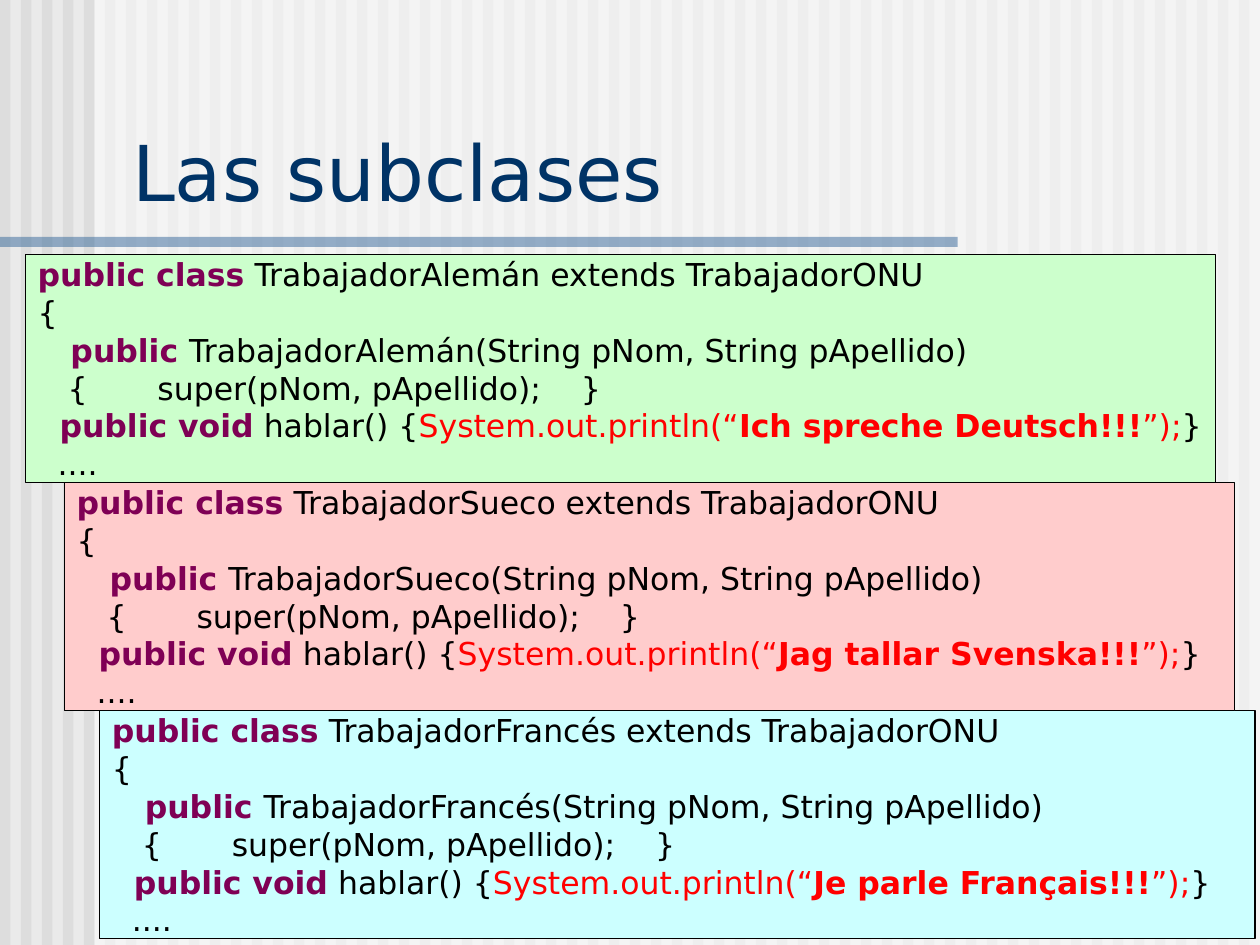
import pptx
import pptx.util
import pptx.dml.color
import pptx.enum.shapes
import pptx.enum.text
import pptx.oxml.ns
import lxml.etree

Inches = pptx.util.Inches
Pt = pptx.util.Pt

COLOURS = {
    "background": "EAEAEA",
    "stripe": "DDDDDD",
    "veil": "FFFFFF",
    "rule": "336699",
    "title": "003366",
    "keyword": "7F0055",
    "code": "000000",
    "output": "FF0000",
    "german": "CCFFCC",
    "swedish": "FFCCCC",
    "french": "CCFFFF",
}


class SlideBuilder:
    font_name = "DejaVu Sans"
    code_size = 18
    title_size = 44

    def __init__(self, page):
        self.page = page

    def colour(self, name):
        return pptx.dml.color.RGBColor.from_string(COLOURS[name])

    def apply(self, target, formats):
        for name, value in formats.items():
            setattr(target, name, value)

    def background(self, colour):
        fill = self.page.background.fill
        fill.solid()
        fill.fore_color.rgb = self.colour(colour)

    def rectangle(self, bounds, colour, opacity=100, border=None):
        box = self.page.shapes.add_shape(
            pptx.enum.shapes.MSO_SHAPE.RECTANGLE, *map(Inches, bounds)
        )
        box.shadow.inherit = False
        box.fill.solid()
        box.fill.fore_color.rgb = self.colour(colour)
        if opacity < 100:
            tag = pptx.oxml.ns.qn("a:srgbClr")
            for node in box.fill._xPr.iter(tag):
                alpha = lxml.etree.SubElement(node, pptx.oxml.ns.qn("a:alpha"))
                alpha.set("val", str(opacity * 1000))
        if border:
            box.line.color.rgb = self.colour(border)
            box.line.width = Pt(0.75)
        else:
            box.line.fill.background()
        return box

    def spans(self, para, pieces, size):
        para.alignment = pptx.enum.text.PP_ALIGN.LEFT
        for text, colour, bold in pieces:
            span = para.add_run()
            span.text = text
            self.apply(
                span.font,
                {"name": self.font_name, "size": Pt(size), "bold": bold},
            )
            span.font.color.rgb = self.colour(colour)

    def title(self, text, bounds):
        box = self.page.shapes.add_textbox(*map(Inches, bounds))
        frame = box.text_frame
        self.apply(
            frame,
            {
                "word_wrap": True,
                "vertical_anchor": pptx.enum.text.MSO_ANCHOR.BOTTOM,
            },
        )
        self.spans(frame.paragraphs[0], [(text, "title", False)], self.title_size)

    def code(self, bounds, colour, lines):
        box = self.rectangle(bounds, colour, border="code")
        frame = box.text_frame
        self.apply(
            frame,
            {
                "word_wrap": False,
                "vertical_anchor": pptx.enum.text.MSO_ANCHOR.MIDDLE,
                "margin_left": Inches(0.1),
                "margin_right": Inches(0.1),
                "margin_top": 0,
                "margin_bottom": 0,
            },
        )
        for index, pieces in enumerate(lines):
            para = frame.add_paragraph() if index else frame.paragraphs[0]
            para.line_spacing = Pt(21.6)
            self.spans(para, pieces, self.code_size)


def subclass_lines(name, greeting):
    return [
        [
            ("public class", "keyword", True),
            (f" {name} extends TrabajadorONU", "code", False),
        ],
        [("{", "code", False)],
        [
            ("   public ", "keyword", True),
            (f"{name}(String pNom, String pApellido)", "code", False),
        ],
        [("   {       super(pNom, pApellido);    }", "code", False)],
        [
            ("  public void", "keyword", True),
            (" hablar() {", "code", False),
            ("System.out.println(“", "output", False),
            (greeting, "output", True),
            ("”);", "output", False),
            ("}", "code", False),
        ],
        [("  ....", "code", False)],
    ]


def main():
    deck = pptx.Presentation()
    deck.slide_width = Inches(10)
    deck.slide_height = Inches(7.5)
    builder = SlideBuilder(deck.slides.add_slide(deck.slide_layouts[6]))

    builder.background("background")
    for index in range(60):
        builder.rectangle((index / 6, 0, 1 / 12, 7.5), "stripe")
    builder.rectangle((0.75, 0, 9.25, 7.5), "veil", opacity=50)
    builder.rectangle((0, 1.88, 7.6, 0.08), "rule", opacity=50)

    subclasses = [
        (0.79, 5.64, 9.17, "french", "TrabajadorFrancés", "Je parle Français!!!"),
        (0.2, 2.02, 9.45, "german", "TrabajadorAlemán", "Ich spreche Deutsch!!!"),
        (0.51, 3.83, 9.29, "swedish", "TrabajadorSueco", "Jag tallar Svenska!!!"),
    ]
    for left, top, width, colour, name, greeting in subclasses:
        builder.code(
            (left, top, width, 1.81), colour, subclass_lines(name, greeting)
        )
    builder.title("Las subclases", (0.95, 0.94, 8.93, 0.83))

    deck.save("out.pptx")


if __name__ == "__main__":
    main()
